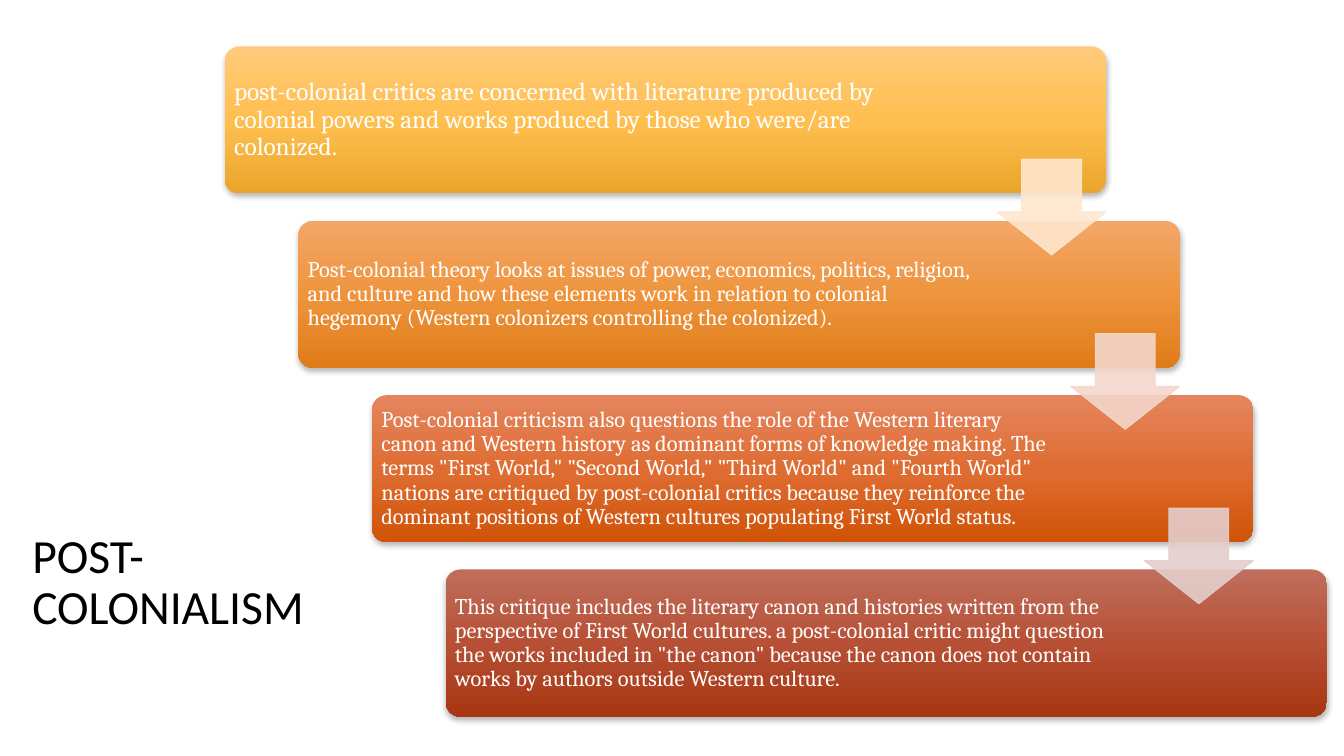
from copy import deepcopy

from lxml.etree import SubElement
from pptx import Presentation
from pptx.dml.color import RGBColor
from pptx.enum.shapes import MSO_SHAPE as Shape
from pptx.enum.text import MSO_ANCHOR as Anchor, MSO_AUTO_SIZE as AutoSize, PP_ALIGN as Align
from pptx.oxml.ns import qn
from pptx.util import Inches, Pt

COLORS = {
    "title": "000000",
    "text": "FFFFFF",
    "shadow": "000000",
    "steps": [
        ("FFCB7B", "FFBF4F", "EAA62C"),
        ("F2A769", "EF943D", "DE7C17"),
        ("E5855E", "DF6D33", "D05307"),
        ("BF6E5D", "B75035", "A73611"),
    ],
    "arrows": ["FFE7CE", "F3D7CA", "E4CECB"],
}
STEPS = [
    ("post-colonial critics are concerned with literature produced by colonial powers "
     "and works produced by those who were/are colonized.", 18),
    ("Post-colonial theory looks at issues of power, economics, politics, religion, and "
     "culture and how these elements work in relation to colonial hegemony (Western "
     "colonizers controlling the colonized).", 16),
    ("Post-colonial criticism also questions the role of the Western literary canon and "
     "Western history as dominant forms of knowledge making. The terms \"First World,\" "
     "\"Second World,\" \"Third World\" and \"Fourth World\" nations are critiqued by "
     "post-colonial critics because they reinforce the dominant positions of Western "
     "cultures populating First World status.", 16),
    ("This critique includes the literary canon and histories written from the "
     "perspective of First World cultures. a post-colonial critic might question the "
     "works included in \"the canon\" because the canon does not contain works by authors "
     "outside Western culture.", 16),
]
STEP_LEFT, STEP_TOP, STEP_WIDTH, STEP_HEIGHT = 2.23, 0.46, 8.74, 1.46
ARROW_LEFT, ARROW_TOP, ARROW_WIDTH, ARROW_HEIGHT = 9.89, 1.58, 1.08, 0.95
SHIFT_RIGHT, SHIFT_DOWN = 0.73, 1.73


def set_text(shape, text, *, size, font, color, insets):
    """Write one left-aligned paragraph; insets are left, top, right, bottom in inches."""
    frame = shape.text_frame
    frame.word_wrap = True
    frame.auto_size = AutoSize.NONE
    frame.vertical_anchor = Anchor.MIDDLE
    (frame.margin_left, frame.margin_top,
     frame.margin_right, frame.margin_bottom) = map(Inches, insets)
    paragraph = frame.paragraphs[0]
    paragraph.alignment = Align.LEFT
    paragraph.line_spacing = 0.9
    run = paragraph.add_run()
    run.text = text
    run.font.size = Pt(size)
    run.font.name = font
    run.font.color.rgb = RGBColor.from_string(color)


def fill_gradient(shape, colors):
    """Fill from top to bottom with three evenly spaced colours."""
    shape.fill.gradient()
    shape.fill.gradient_angle = 270
    stop_list = shape.element.spPr.find(".//" + qn("a:gsLst"))
    stop_list.insert(1, deepcopy(stop_list[0]))
    for stop, position, color in zip(shape.fill.gradient_stops, (0, 0.5, 1), colors):
        stop.position = position
        stop.color.rgb = RGBColor.from_string(color)


def add_alpha(color_element, percent):
    SubElement(color_element, qn("a:alpha"), val=str(percent * 1000))


def add_shadow(shape):
    effects = shape.element.spPr.find(qn("a:effectLst"))
    shadow = SubElement(effects, qn("a:outerShdw"), blurRad=str(Pt(4)), dist=str(Pt(2)),
                        dir="5400000", algn="ctr", rotWithShape="0")
    add_alpha(SubElement(shadow, qn("a:srgbClr"), val=COLORS["shadow"]), 28)


def add_shape(slide, kind, left, top, width, height, adjustments):
    shape = slide.shapes.add_shape(kind, *map(Inches, (left, top, width, height)))
    shape.shadow.inherit = False
    for index, value in enumerate(adjustments):
        shape.adjustments[index] = value
    return shape


def add_step(slide, index, text, size):
    step = add_shape(slide, Shape.ROUNDED_RECTANGLE,
                     STEP_LEFT + index * SHIFT_RIGHT, STEP_TOP + index * SHIFT_DOWN,
                     STEP_WIDTH, STEP_HEIGHT, [0.1])
    fill_gradient(step, COLORS["steps"][index])
    step.line.fill.background()
    add_shadow(step)
    set_text(step, text, size=size, font="Cambria", color=COLORS["text"],
             insets=(0.05, 0.05, 1.89, 0.05))


def add_arrow(slide, index, color):
    arrow = add_shape(slide, Shape.DOWN_ARROW,
                      ARROW_LEFT + index * SHIFT_RIGHT, ARROW_TOP + index * SHIFT_DOWN,
                      ARROW_WIDTH, ARROW_HEIGHT, [0.45, 0.55])
    # The first adjustment is the shaft width, the second the head length.
    arrow.adjustments[0], arrow.adjustments[1] = 0.55, 0.45
    arrow.line.width = Pt(0.75)
    for fill in (arrow.fill, arrow.line.fill):
        fill.solid()
        fill.fore_color.rgb = RGBColor.from_string(color)
    for color_element in arrow.element.spPr.iter(qn("a:srgbClr")):
        add_alpha(color_element, 90)


def add_title(slide, text):
    title = slide.shapes.title
    title.left, title.top, title.width, title.height = map(Inches, (0.22, 3.78, 3.63, 4.02))
    set_text(title, text, size=34, font="Calibri", color=COLORS["title"],
             insets=(0.1, 0.05, 0.1, 0.05))


def main():
    presentation = Presentation()
    presentation.slide_width, presentation.slide_height = Inches(13.33), Inches(7.5)
    slide = presentation.slides.add_slide(presentation.slide_layouts[5])
    add_title(slide, "POST-COLONIALISM")
    for index, (text, size) in enumerate(STEPS):
        add_step(slide, index, text, size)
    for index, color in enumerate(COLORS["arrows"]):
        add_arrow(slide, index, color)
    presentation.save("out.pptx")


if __name__ == "__main__":
    main()
